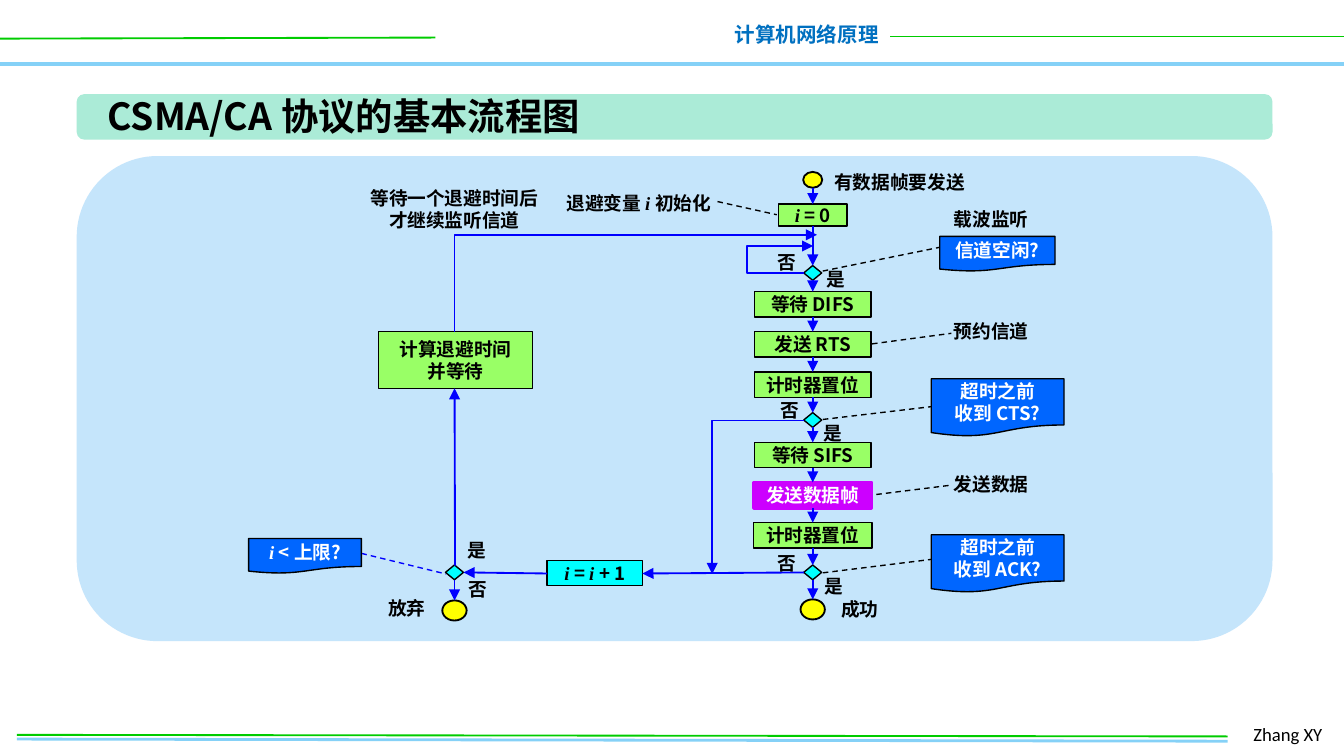
from lxml.etree import SubElement
from pptx import Presentation
from pptx.dml.color import RGBColor
from pptx.enum.dml import MSO_LINE
from pptx.enum.shapes import MSO_CONNECTOR, MSO_SHAPE
from pptx.enum.text import MSO_ANCHOR, PP_ALIGN
from pptx.oxml.ns import qn
from pptx.util import Cm, Pt

SANS, SERIF = "Noto Sans CJK SC", "Times New Roman"
BLACK, WHITE, BLUE, SKY = "000000", "FFFFFF", "0000FF", "85D1F7"
GREEN, LIME, CYAN, YELLOW = "00CC00", "99FF66", "00FFFF", "FFFF00"
NOTE, PURPLE = "0066FF", "CC00FF"
BOX, NOTE_SHAPE = MSO_SHAPE.FLOWCHART_PROCESS, MSO_SHAPE.FLOWCHART_DOCUMENT
DIAMOND, CIRCLE = MSO_SHAPE.FLOWCHART_DECISION, MSO_SHAPE.OVAL

# Lengths are centimetres; text between asterisks is an italic variable.
MAIN_X, RETRY_X = 15.36, 8.59

FRAME_LINES = [  # x1, y1, x2, y2, colour, points
    (0, 1.21, 25.4, 1.21, SKY, 2),
    (0, 0.73, 8.23, 0.71, GREEN, 1),
    (16.82, 0.69, 25.4, 0.69, GREEN, 1),
    (0.32, 13.97, 23.2, 14.01, SKY, 1.5),
    (0.32, 13.89, 23.2, 13.92, GREEN, 1),
]
MAIN_STEPS = [  # shape, top, width, height, fill, text
    (CIRCLE, 3.25, 0.36, 0.3, YELLOW, ""),
    (BOX, 3.86, 1.3, 0.41, LIME, "*i *= 0"),
    (DIAMOND, 5.02, 0.34, 0.28, CYAN, ""),
    (BOX, 5.51, 2.21, 0.48, LIME, "等待 DIFS"),
    (BOX, 6.27, 2.21, 0.48, LIME, "发送 RTS"),
    (BOX, 7.03, 2.21, 0.48, LIME, "计时器置位"),
    (DIAMOND, 7.8, 0.34, 0.28, CYAN, ""),
    (BOX, 8.36, 2.21, 0.48, LIME, "等待 SIFS"),
    (BOX, 9.12, 2.21, 0.48, PURPLE, "发送数据帧"),
    (BOX, 9.88, 2.24, 0.48, LIME, "计时器置位"),
    (DIAMOND, 10.68, 0.34, 0.28, CYAN, ""),
    (CIRCLE, 11.33, 0.46, 0.38, YELLOW, ""),
]
RETRY_STEPS = [
    (DIAMOND, 10.68, 0.34, 0.28, CYAN, ""),
    (CIRCLE, 11.35, 0.46, 0.38, YELLOW, ""),
]
OTHER_BOXES = [  # shape, left, top, width, height, fill, text
    (BOX, 10.34, 10.59, 1.8, 0.48, CYAN, "*i *= *i *+ 1"),
    (BOX, 7.16, 6.27, 2.9, 1.07, LIME, "计算退避时间\n并等待"),
    (NOTE_SHAPE, 4.7, 10.18, 2.13, 0.66, NOTE, "*i *< 上限?"),
    (NOTE_SHAPE, 17.76, 4.47, 2.18, 0.66, NOTE, "信道空闲?"),
    (NOTE_SHAPE, 17.6, 7.16, 2.51, 1.09, NOTE, "超时之前\n收到 CTS?"),
    (NOTE_SHAPE, 17.6, 10.11, 2.51, 1.09, NOTE, "超时之前\n收到 ACK?"),
]
ARROWS = [
    (15.19, 10.82, 12.14, 10.84),
    (10.34, 10.84, 8.76, 10.82),
    (8.6, 10.69, 8.59, 7.34),
]
ELBOWS = [  # preset, left, top, width, height, rotation, flips, adjustments
    ("bentConnector4", 15.2, 4.65, 0.17, 0.51, 180, "H", (-632800, 100000)),
    ("bentConnector2", 13.46, 7.95, 1.74, 2.9, 180, "V", ()),
    ("bentConnector2", 11.1, 1.93, 1.83, 6.85, 90, "HV", ()),
]
DASHES = [
    (15.37, 5.16, 17.88, 4.65, BLACK),
    (15.37, 7.95, 17.91, 7.65, BLACK),
    (15.37, 10.85, 17.88, 10.54, BLACK),
    (16.48, 6.5, 17.98, 6.3, BLACK),
    (16.38, 9.37, 17.98, 9.17, BLACK),
    (13.56, 3.81, 14.68, 4.06, BLACK),
    (6.83, 10.46, 8.43, 10.85, BLUE),
]
LABELS = [  # left, top, width, text
    (15.37, 4.93, 0.61, "是"), (15.34, 10.74, 0.61, "是"),
    (15.32, 7.85, 0.61, "是"), (8.59, 10.06, 0.61, "是"),
    (14.45, 4.62, 0.61, "否"), (14.5, 7.42, 0.61, "否"),
    (14.45, 10.31, 0.61, "否"), (8.61, 10.8, 0.61, "否"),
    (10.46, 3.51, 3.71, "退避变量 *i *初始化"),
    (15.52, 3.1, 3.25, "有数据帧要发送"),
    (15.65, 11.18, 1.45, "成功"), (7.09, 11.15, 1.55, "放弃"),
    (17.78, 3.81, 2.13, "载波监听"), (17.78, 5.92, 2.13, "预约信道"),
    (17.78, 8.81, 2.13, "发送数据"),
]


def rgb(value):
    return RGBColor.from_string(value)


def write(shape, text, color=BLACK, size=10, font=SANS, bold=True, align=None):
    tf = shape.text_frame
    for n, line in enumerate(text.split("\n")):
        p = tf.paragraphs[0] if n == 0 else tf.add_paragraph()
        p.alignment = align
        for k, part in enumerate(line.split("*")):
            if not part:
                continue
            r = p.add_run()
            r.text = part
            italic = k % 2 == 1
            f = r.font
            f.size, f.bold, f.italic = Pt(size), bold, italic
            f.name = SERIF if italic else font
            f.color.rgb = rgb(color)
            SubElement(r._r.get_or_add_rPr(), qn("a:ea"), typeface=f.name)


def label(s, left, top, width, height, text, wrap=True, **style):
    box = s.shapes.add_textbox(Cm(left), Cm(top), Cm(width), Cm(height))
    box.text_frame.word_wrap = wrap
    write(box, text, **style)


def shape(s, kind, left, top, width, height, fill, text="", outlined=True):
    sp = s.shapes.add_shape(kind, Cm(left), Cm(top), Cm(width), Cm(height))
    sp.shadow.inherit = False
    sp.fill.solid()
    sp.fill.fore_color.rgb = rgb(fill)
    if outlined:
        sp.line.color.rgb = rgb(PURPLE if fill == PURPLE else BLACK)
        sp.line.width = Pt({PURPLE: 2, YELLOW: 1}.get(fill, 0.75))
    else:
        sp.line.fill.background()
    if text:
        sp.text_frame.word_wrap = False
        sp.text_frame.vertical_anchor = MSO_ANCHOR.MIDDLE
        write(sp, text, WHITE if fill in (NOTE, PURPLE) else BLACK, align=PP_ALIGN.CENTER)
    return sp


def line(s, x1, y1, x2, y2, color=BLUE, width=1, arrow=False, dash=False):
    c = s.shapes.add_connector(MSO_CONNECTOR.STRAIGHT, Cm(x1), Cm(y1), Cm(x2), Cm(y2))
    c.line.color.rgb = rgb(color)
    c.line.width = Pt(width)
    if dash:
        c.line.dash_style = MSO_LINE.DASH
    if arrow:
        SubElement(c.line._get_or_add_ln(), qn("a:tailEnd"), type="triangle")
    SubElement(c._element.spPr, qn("a:effectLst"))
    return c


def elbow(s, preset, left, top, width, height, rotation, flips, adjustments):
    c = line(s, left, top, left + width, top + height, arrow=True)
    xfrm = c._element.spPr.find(qn("a:xfrm"))
    xfrm.set("rot", str(rotation * 60000))
    for axis in flips:
        xfrm.set("flip" + axis, "1")
    geom = c._element.spPr.find(qn("a:prstGeom"))
    geom.set("prst", preset)
    guides = geom.find(qn("a:avLst"))
    for n, value in enumerate(adjustments, 1):
        SubElement(guides, qn("a:gd"), name=f"adj{n}", fmla=f"val {value}")


def column(s, center, steps):
    """Stack the steps on one axis and join neighbours with arrows."""
    for kind, top, width, height, fill, text in steps:
        shape(s, kind, center - width / 2, top, width, height, fill, text)
    for above, below in zip(steps, steps[1:]):
        line(s, center, above[1] + above[3], center, below[1], arrow=True)


def main():
    prs = Presentation()
    prs.slide_width, prs.slide_height = Cm(25.4), Cm(14.29)
    s = prs.slides.add_slide(prs.slide_layouts[6])

    for x1, y1, x2, y2, color, width in FRAME_LINES:
        line(s, x1, y1, x2, y2, color, width)
    label(s, 13.61, 0.3, 3.25, 0.74, "计算机网络原理", wrap=False,
          color="0070C0", size=11, align=PP_ALIGN.RIGHT)
    label(s, 23.44, 13.54, 1.98, 0.69, "Zhang XY", font="Calibri", bold=False)
    shape(s, MSO_SHAPE.ROUNDED_RECTANGLE, 1.45, 2.95, 22.6, 9.17, "C5E5FB", outlined=False)
    shape(s, MSO_SHAPE.ROUNDED_RECTANGLE, 1.45, 1.78, 22.6, 0.86, "ABEBD7", outlined=False)
    label(s, 1.78, 1.63, 9.96, 1.12, "CSMA/CA 协议的基本流程图", wrap=False, size=20)

    for x1, y1, x2, y2, color in DASHES:
        line(s, x1, y1, x2, y2, color, 0.75, dash=True)
    column(s, MAIN_X, MAIN_STEPS)
    column(s, RETRY_X, RETRY_STEPS)
    for box in OTHER_BOXES:
        shape(s, *box)
    for ends in ARROWS:
        line(s, *ends, arrow=True)
    for bend in ELBOWS:
        elbow(s, *bend)
    for left, top, width, text in LABELS:
        label(s, left, top, width, 0.69, text)
    label(s, 6.45, 3.4, 4.27, 1.12, "等待一个退避时间后\n才继续监听信道", align=PP_ALIGN.CENTER)

    prs.save("out.pptx")


if __name__ == "__main__":
    main()
